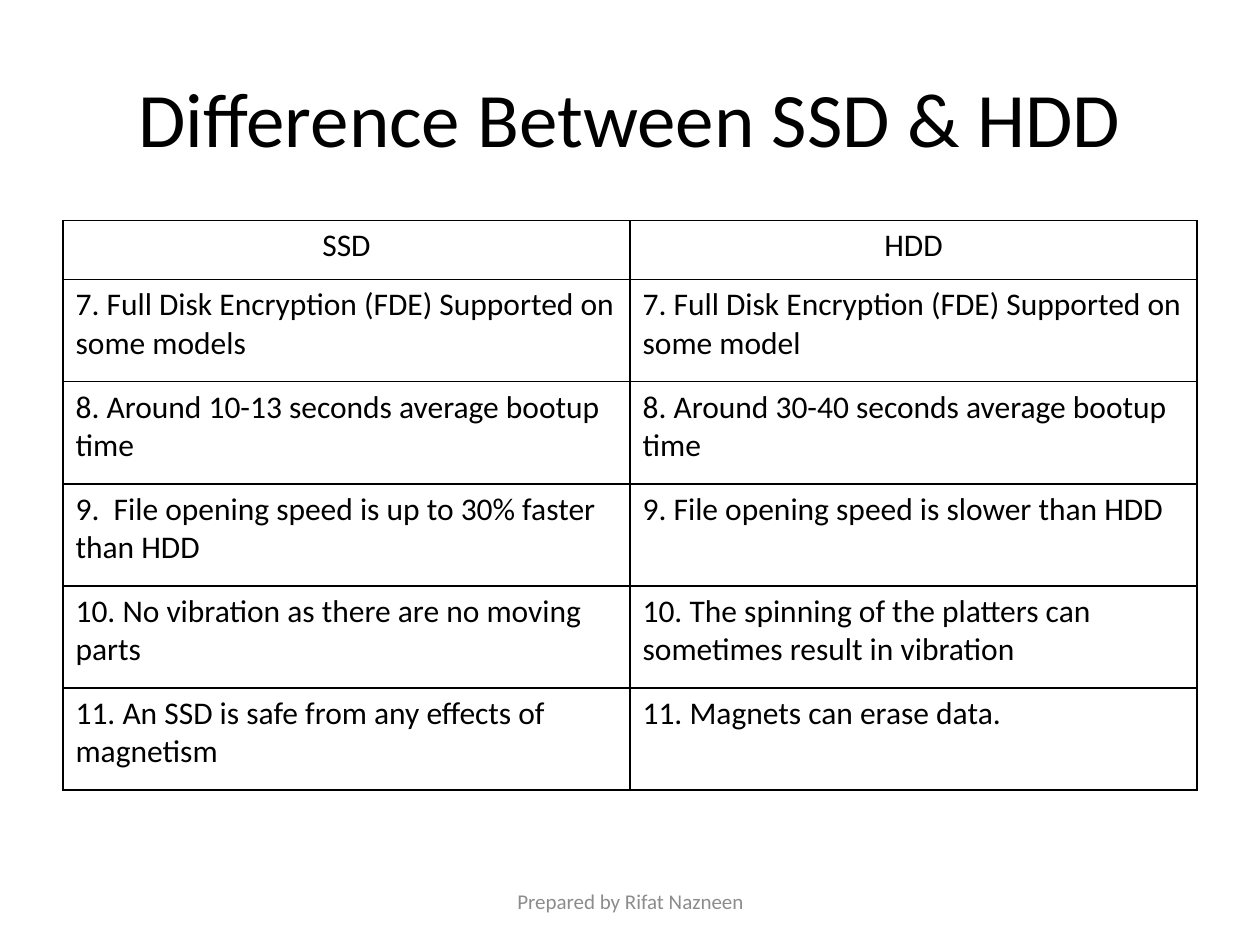
"""Build a slide that compares SSD and HDD drives in a table."""
import pptx
import pptx.dml.color
import pptx.enum.text
import pptx.oxml
import pptx.oxml.ns
import pptx.util
from pptx.util import Inches

FONT = "Calibri"
BLACK = "000000"
GREY = "8C8C8C"
WHITE = "FFFFFF"
ALIGN = pptx.enum.text.PP_ALIGN
ANCHOR = pptx.enum.text.MSO_ANCHOR

HEADINGS = ("SSD", "HDD")
COMPARISON = [
    ("7. Full Disk Encryption (FDE) Supported on some models",
     "7. Full Disk Encryption (FDE) Supported on some model"),
    ("8. Around 10-13 seconds average bootup time",
     "8. Around 30-40 seconds average bootup time"),
    ("9.  File opening speed is up to 30% faster than HDD",
     "9. File opening speed is slower than HDD"),
    ("10. No vibration as there are no moving parts",
     "10. The spinning of the platters can sometimes result in vibration"),
    ("11. An SSD is safe from any effects of magnetism",
     "11. Magnets can erase data."),
]


def color(value):
    """Return the colour for a hex string."""
    return pptx.dml.color.RGBColor.from_string(value)


def write_text(frame, text, size=18, fill=BLACK, align=ALIGN.LEFT):
    """Write one formatted paragraph into a text frame."""
    frame.word_wrap = True
    para = frame.paragraphs[0]
    para.alignment = align
    span = para.add_run()
    span.text = text
    span.font.name = FONT
    span.font.size = pptx.util.Pt(size)
    span.font.color.rgb = color(fill)


def add_text(page, left, top, width, height, text, **text_format):
    """Add a vertically centred text box."""
    box = page.shapes.add_textbox(Inches(left), Inches(top), Inches(width), Inches(height))
    box.text_frame.vertical_anchor = ANCHOR.MIDDLE
    write_text(box.text_frame, text, **text_format)


def add_borders(cell, line_color=BLACK, points=1):
    """Draw a solid line on all four sides of a cell."""
    properties = cell._tc.get_or_add_tcPr()
    for position, side in enumerate(("lnL", "lnR", "lnT", "lnB")):
        line = pptx.oxml.parse_xml(
            f'<a:{side} {pptx.oxml.ns.nsdecls("a")} w="{pptx.util.Pt(points)}">'
            f'<a:solidFill><a:srgbClr val="{line_color}"/></a:solidFill></a:{side}>')
        properties.insert(position, line)


def add_comparison(page, left, top, width, header_height, row_height):
    """Add the bordered table with a centred heading row."""
    rows = [HEADINGS, *COMPARISON]
    height = header_height + row_height * len(COMPARISON)
    table = page.shapes.add_table(len(rows), len(HEADINGS), Inches(left), Inches(top),
                                  Inches(width), Inches(height)).table
    table.horz_banding = False
    table.first_row = False
    for index, texts in enumerate(rows):
        is_header = index == 0
        table.rows[index].height = Inches(header_height if is_header else row_height)
        for column, text in enumerate(texts):
            cell = table.cell(index, column)
            cell.fill.solid()
            cell.fill.fore_color.rgb = color(WHITE)
            add_borders(cell)
            write_text(cell.text_frame, text, align=ALIGN.CENTER if is_header else ALIGN.LEFT)


def main():
    """Build and save the deck."""
    deck = pptx.Presentation()
    deck.slide_width, deck.slide_height = Inches(10), Inches(7.5)
    page = deck.slides.add_slide(deck.slide_layouts[6])
    add_text(page, 0.5, 0.3, 9, 1.25, "Difference Between SSD & HDD",
             size=44, align=ALIGN.CENTER)
    add_comparison(page, 0.5, 1.75, 9, header_height=0.47, row_height=0.81)
    add_text(page, 3.42, 6.95, 3.17, 0.4, "Prepared by Rifat Nazneen",
             size=12, fill=GREY, align=ALIGN.CENTER)
    deck.save("out.pptx")


main()
